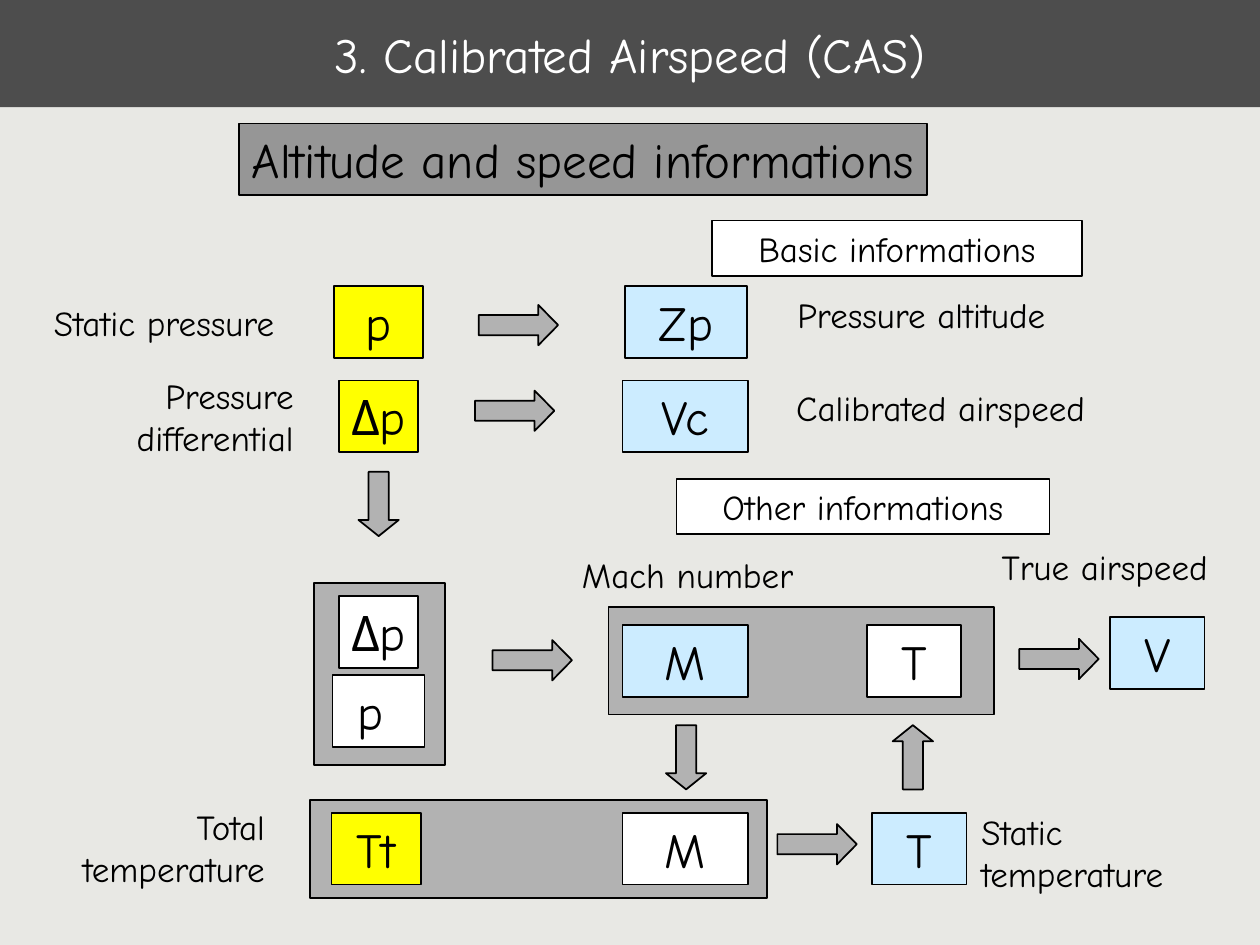
from pptx import Presentation
from pptx.dml.color import RGBColor
from pptx.enum.shapes import MSO_SHAPE as Shape
from pptx.enum.text import MSO_ANCHOR as Anchor, MSO_AUTO_SIZE as Fit, PP_ALIGN as Align
from pptx.util import Inches, Pt

FONT = "Comic Neue"
PAPER = RGBColor(0xE8, 0xE8, 0xE4)
DARK = RGBColor(0x4D, 0x4D, 0x4D)
SLATE = RGBColor(0x96, 0x96, 0x96)
GRAY = RGBColor(0xB2, 0xB2, 0xB2)
YELLOW = RGBColor(0xFF, 0xFF, 0x00)
BLUE = RGBColor(0xCC, 0xEC, 0xFF)
WHITE = RGBColor(0xFF, 0xFF, 0xFF)
BLACK = RGBColor(0x00, 0x00, 0x00)


def write(shape, text, size, align, color=BLACK, wrap=True, anchor=Anchor.MIDDLE, fit=Fit.SHAPE_TO_FIT_TEXT):
    """Put one run of text into a shape."""
    frame = shape.text_frame
    frame.word_wrap = wrap
    frame.auto_size = fit
    frame.vertical_anchor = anchor
    para = frame.paragraphs[0]
    para.alignment = align
    run = para.add_run()
    run.text = text
    run.font.size = Pt(size)
    run.font.name = FONT
    run.font.color.rgb = color


def block(host, left, top, width, height, fill, kind=Shape.RECTANGLE, edge=True):
    """Draw a filled preset shape."""
    shape = host.shapes.add_shape(kind, Inches(left), Inches(top), Inches(width), Inches(height))
    shape.shadow.inherit = False
    shape.fill.solid()
    shape.fill.fore_color.rgb = fill
    if edge:
        shape.line.color.rgb = BLACK
        shape.line.width = Pt(1)
    else:
        shape.line.fill.background()
    return shape


def symbol(host, left, top, width, text, fill, wrap=True):
    """Draw a box that holds a quantity."""
    write(block(host, left, top, width, 0.57, fill), text, 28, Align.CENTER, wrap=wrap)


def header(host, left, top, width, text):
    """Draw the white heading of a section."""
    write(block(host, left, top, width, 0.44, WHITE), text, 20, Align.CENTER)


def label(host, left, top, width, text, height=0.44, align=Align.LEFT, wrap=False):
    """Draw a free caption."""
    box = host.shapes.add_textbox(Inches(left), Inches(top), Inches(width), Inches(height))
    write(box, text, 20, align, wrap=wrap, anchor=Anchor.TOP)


def arrow(host, left, top, turn=0):
    """Draw a block arrow, shorter when it is turned."""
    width, head = (0.51, 0.4) if turn else (0.63, 0.49)
    shape = block(host, left, top, width, 0.32, GRAY, Shape.RIGHT_ARROW)
    shape.adjustments[0] = 0.5
    shape.adjustments[1] = head
    shape.rotation = turn


def title(slide, left, top, width, height):
    """Draw the title band."""
    band = block(slide, left, top, width, height, DARK, edge=False)
    write(band, "3. Calibrated Airspeed (CAS)", 28, Align.CENTER, WHITE, fit=Fit.NONE)


def banner(slide, left, top, width, height):
    """Draw the topic banner."""
    shape = block(slide, left, top, width, height, SLATE)
    write(shape, "Altitude and speed informations", 28, Align.LEFT, wrap=False, anchor=Anchor.TOP)


def basic(slide, left, top):
    """Draw the pressures and what they give."""
    header(slide, left + 5.42, top, 2.94, "Basic informations")
    label(slide, left + 0.1, top + 0.59, 1.97, "Static pressure")
    symbol(slide, left + 2.42, top + 0.52, 0.71, " p ", YELLOW)
    arrow(slide, left + 3.57, top + 0.67)
    symbol(slide, left + 4.73, top + 0.52, 0.97, " Zp ", BLUE)
    label(slide, left + 6, top + 0.53, 2.18, "Pressure altitude")
    label(slide, left, top + 1.17, 2.2, "Pressure differential", 0.77, Align.RIGHT, True)
    symbol(slide, left + 2.46, top + 1.27, 0.63, "Δp", YELLOW, False)
    arrow(slide, left + 3.54, top + 1.35)
    symbol(slide, left + 4.71, top + 1.27, 1, "Vc", BLUE)
    label(slide, left + 5.99, top + 1.27, 2.51, "Calibrated airspeed")


def pair(slide, left, top):
    """Draw the two pressures taken together."""
    arrow(slide, left + 0.26, top, 90)
    group = slide.shapes.add_group_shape()
    block(group, left, top + 0.79, 1.04, 1.44, GRAY)
    symbol(group, left + 0.15, top + 1.52, 0.73, "p ", WHITE)
    symbol(group, left + 0.2, top + 0.89, 0.63, "Δp", WHITE, False)
    arrow(slide, left + 1.42, top + 1.24)


def speed(slide, left, top):
    """Draw the path from Mach number to true airspeed."""
    header(slide, left + 0.85, top, 2.96, "Other informations")
    label(slide, left, top + 0.54, 1.88, "Mach number")
    block(slide, left + 0.31, top + 1.02, 3.06, 0.85, GRAY)
    symbol(slide, left + 0.42, top + 1.16, 1, "M", BLUE)
    symbol(slide, left + 2.36, top + 1.16, 0.75, "T", WHITE)
    arrow(slide, left + 3.57, top + 1.27)
    symbol(slide, left + 4.29, top + 1.1, 0.75, "V", BLUE)
    label(slide, left + 3.33, top + 0.48, 2.15, "True airspeed", wrap=True)
    arrow(slide, left + 0.67, top + 2.05, 90)
    arrow(slide, left + 2.47, top + 2.05, 270)


def heat(slide, left, top):
    """Draw the path from total to static temperature."""
    label(slide, left, top, 2.2, "Total temperature", 0.77, Align.RIGHT, True)
    block(slide, left + 2.46, top + 0.01, 3.63, 0.78, GRAY)
    symbol(slide, left + 2.63, top + 0.11, 0.71, "Tt", YELLOW)
    symbol(slide, left + 4.94, top + 0.11, 1, "M", WHITE)
    arrow(slide, left + 6.17, top + 0.2)
    symbol(slide, left + 6.92, top + 0.11, 0.75, "T", BLUE)
    label(slide, left + 7.69, top + 0.04, 2.15, "Static temperature", 0.77, wrap=True)


def main():
    """Build the slide and save it."""
    deck = Presentation()
    deck.slide_width = Inches(10)
    deck.slide_height = Inches(7.5)
    slide = deck.slides.add_slide(deck.slide_layouts[6])
    slide.background.fill.solid()
    slide.background.fill.fore_color.rgb = PAPER
    title(slide, 0, 0, 10, 0.85)
    banner(slide, 1.9, 0.98, 5.46, 0.57)
    basic(slide, 0.23, 1.75)
    pair(slide, 2.49, 3.84)
    speed(slide, 4.52, 3.8)
    heat(slide, 0, 6.34)
    deck.save("out.pptx")


if __name__ == "__main__":
    main()
